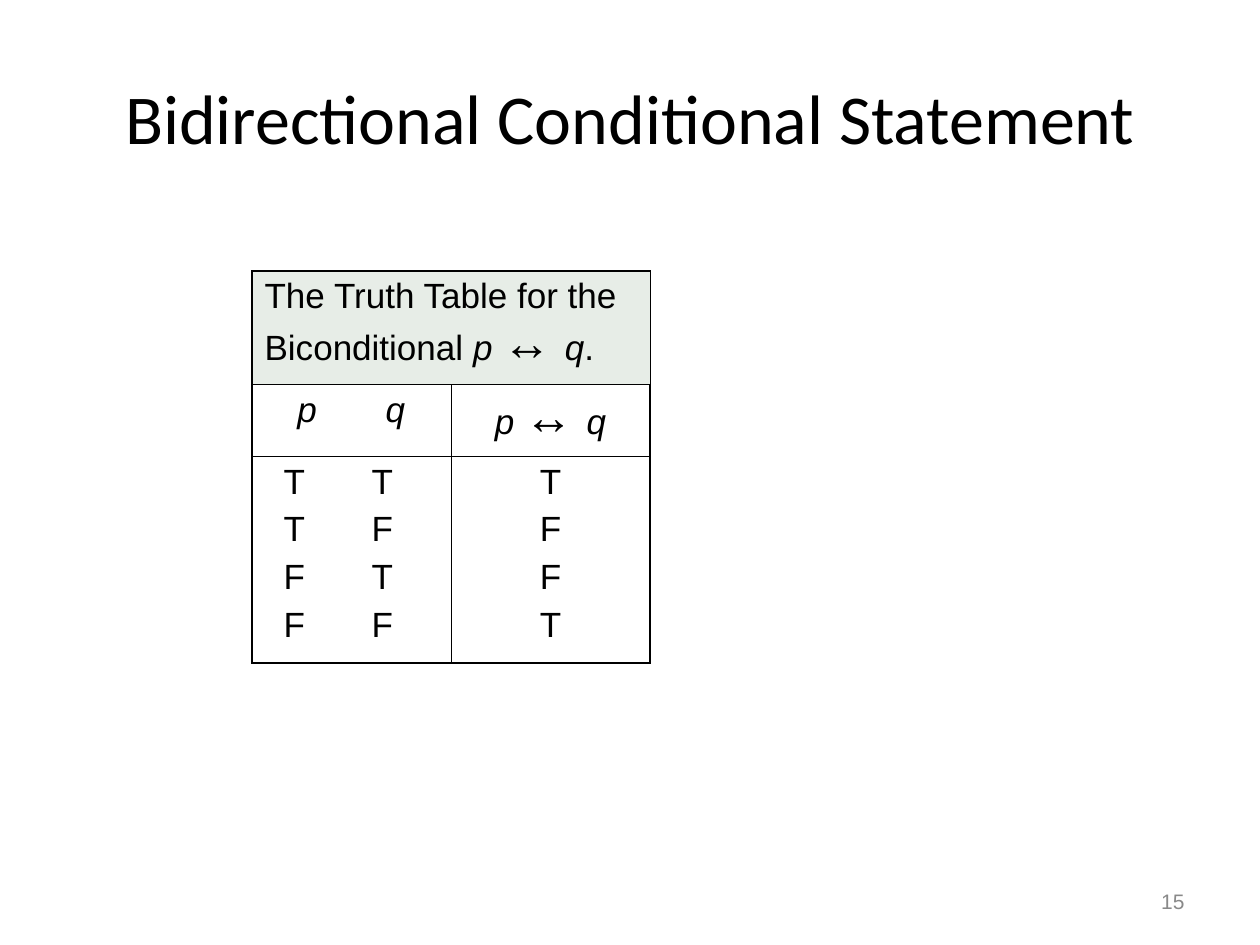
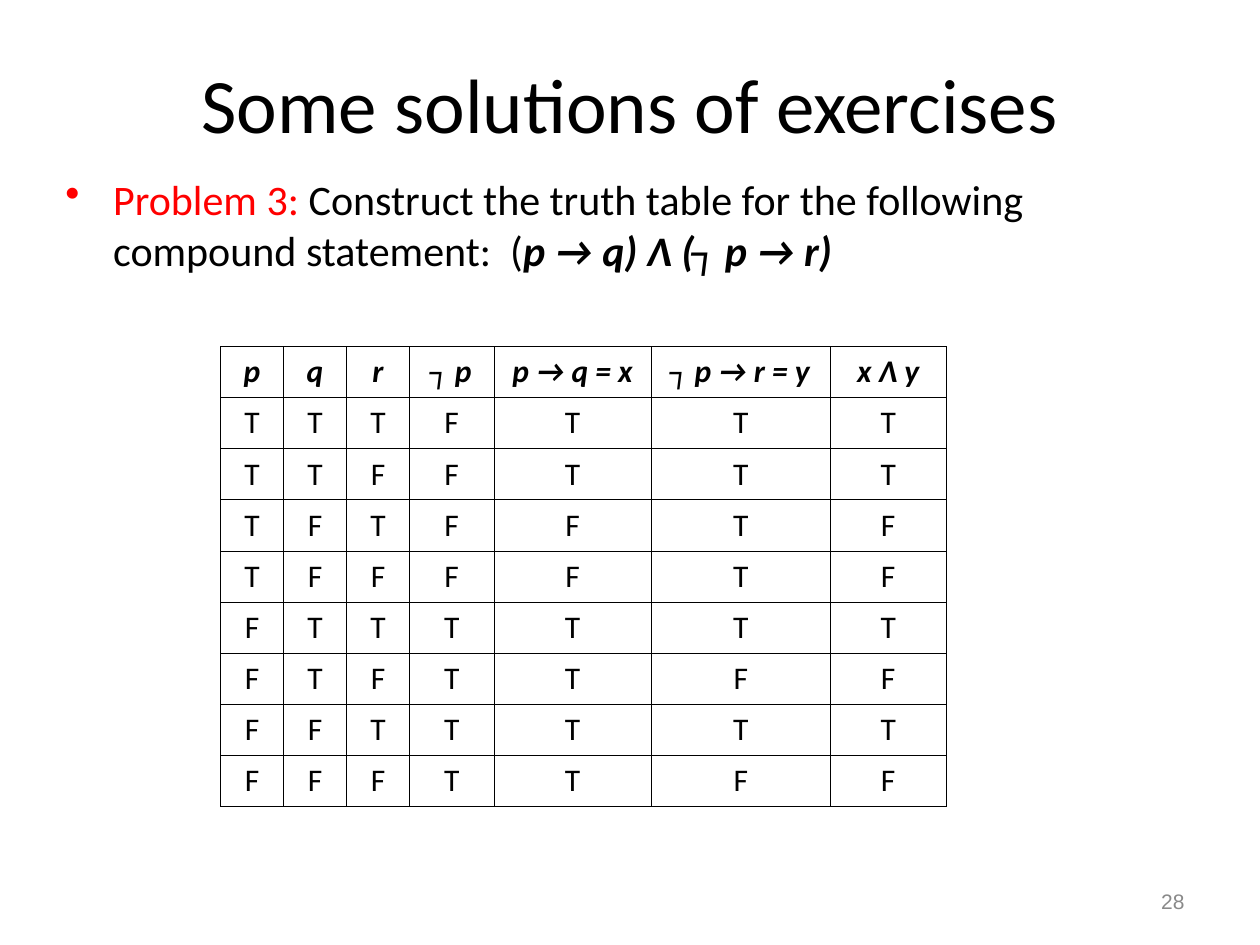
from dataclasses import dataclass
from itertools import product

from lxml.etree import SubElement
from pptx import Presentation
from pptx.dml.color import RGBColor as Color
from pptx.enum.text import MSO_ANCHOR as Anchor, PP_ALIGN as Align
from pptx.oxml import parse_xml
from pptx.oxml.ns import nsdecls, qn
from pptx.util import Inches, Pt


@dataclass(frozen=True)
class Theme:
    heading_font: str = "Calibri"
    plain_font: str = "Arial"
    ink: str = "000000"
    accent: str = "FF0000"
    muted: str = "898989"
    paper: str = "FFFFFF"
    tint: str = "E7EDE7"
    title_size: int = 44
    long_title_size: int = 40
    body_size: int = 24
    cell_size: int = 20
    symbol_size: int = 28
    grid_size: int = 18
    number_size: int = 12
    thin: float = 0.45
    thick: float = 1.08


@dataclass(frozen=True)
class Span:
    text: str
    size: int = None
    color: str = None
    bold: bool = None
    italic: bool = None


THEME = Theme()
BICONDITIONAL = [
    Span("p ", italic=True),
    Span("↔ ", size=THEME.symbol_size),
    Span("q", italic=True),
]


def style_font(font, name=None, size=None, color=None, bold=None, italic=None):
    if name:
        font.name = name
    if size:
        font.size = Pt(size)
    if color:
        font.color.rgb = Color.from_string(color)
    font.bold = bold
    font.italic = italic


def write_spans(para, spans, font, size, align=Align.LEFT):
    para.alignment = align
    for span in spans:
        run = para.add_run()
        run.text = span.text
        style_font(run.font, font, span.size or size, span.color or THEME.ink,
                   span.bold, span.italic)


def write_line(para, text, font, size, align=Align.LEFT, color=THEME.ink,
               bold=None, italic=None):
    para.text = text
    para.alignment = align
    style_font(para.font, font, size, color, bold, italic)


def add_bullet(para, indent, color):
    props = para._p.get_or_add_pPr()
    props.set("marL", str(Inches(indent)))
    props.set("indent", str(-Inches(indent)))
    bullet_color = SubElement(props, qn("a:buClr"))
    SubElement(bullet_color, qn("a:srgbClr"), val=color)
    SubElement(props, qn("a:buChar"), char="•")


def add_tab(para, position):
    tabs = SubElement(para._p.get_or_add_pPr(), qn("a:tabLst"))
    SubElement(tabs, qn("a:tab"), pos=str(Inches(position)), algn="l")


def add_page(deck, title, number, title_height, title_size):
    page = deck.slides.add_slide(deck.slide_layouts[5])
    heading = page.shapes.title
    heading.left, heading.top = Inches(0.5), Inches(0.3)
    heading.width, heading.height = Inches(9), Inches(title_height)
    heading.text_frame.vertical_anchor = Anchor.MIDDLE
    write_line(heading.text_frame.paragraphs[0], title, THEME.heading_font,
               title_size, Align.CENTER)
    frame = add_box(page, 7.17, 6.95, 2.33, 0.4, Anchor.MIDDLE)
    write_line(frame.paragraphs[0], str(number), THEME.plain_font,
               THEME.number_size, Align.RIGHT, THEME.muted)
    return page


def add_box(page, left, top, width, height, anchor=Anchor.TOP):
    box = page.shapes.add_textbox(Inches(left), Inches(top),
                                  Inches(width), Inches(height))
    frame = box.text_frame
    frame.word_wrap = True
    frame.vertical_anchor = anchor
    return frame


def add_grid(page, left, top, widths, heights, outer, inner, fill=None):
    table = page.shapes.add_table(
        len(heights), len(widths), Inches(left), Inches(top),
        Inches(sum(widths)), Inches(sum(heights))).table
    table.first_row = table.horz_banding = False
    for column, width in zip(table.columns, widths):
        column.width = Inches(width)
    for row, height in zip(table.rows, heights):
        row.height = Inches(height)
    last_row, last_column = len(heights) - 1, len(widths) - 1
    for row, column in product(range(len(heights)), range(len(widths))):
        cell = table.cell(row, column)
        fill_cell(cell, fill)
        at_edge = {"lnL": column == 0, "lnR": column == last_column,
                   "lnT": row == 0, "lnB": row == last_row}
        set_borders(cell, {side: outer if edge else inner
                           for side, edge in at_edge.items()})
    return table


def fill_cell(cell, color):
    if color:
        cell.fill.solid()
        cell.fill.fore_color.rgb = Color.from_string(color)
    else:
        cell.fill.background()


def set_borders(cell, sides):
    props = cell._tc.get_or_add_tcPr()
    for order, (side, width) in enumerate(sides.items()):
        props.insert(order, parse_xml(
            f'<a:{side} {nsdecls("a")} w="{Pt(width)}"><a:solidFill>'
            f'<a:srgbClr val="{THEME.ink}"/></a:solidFill></a:{side}>'))


def write_cell_lines(cell, lines, align=Align.LEFT, margin=0.1, tab=None,
                     italic=None):
    cell.margin_left = Inches(margin)
    frame = cell.text_frame
    for order, line in enumerate(lines):
        para = frame.add_paragraph() if order else frame.paragraphs[0]
        if order:
            para.space_before = Pt(5)
        if tab:
            add_tab(para, tab)
        write_line(para, line, THEME.plain_font, THEME.cell_size, align,
                   italic=italic)


def letter(value):
    return "T" if value else "F"


def add_biconditional_table(page):
    table = add_grid(page, 2, 2.15, [1.58, 1.58], [0.9, 0.57, 1.64],
                     THEME.thick, THEME.thin)
    caption = table.cell(0, 0)
    caption.merge(table.cell(0, 1))
    fill_cell(caption, THEME.tint)
    write_spans(caption.text_frame.paragraphs[0],
                [Span("The Truth Table for the Biconditional "),
                 *BICONDITIONAL, Span(".")],
                THEME.plain_font, THEME.cell_size)
    write_cell_lines(table.cell(1, 0), ["p\tq"], margin=0.36, tab=0.7,
                     italic=True)
    write_spans(table.cell(1, 1).text_frame.paragraphs[0], BICONDITIONAL,
                THEME.plain_font, THEME.cell_size, Align.CENTER)
    cases = list(product((True, False), repeat=2))
    write_cell_lines(table.cell(2, 0),
                     [f"{letter(p)}\t{letter(q)}" for p, q in cases],
                     margin=0.25, tab=0.7)
    write_cell_lines(table.cell(2, 1), [letter(p == q) for p, q in cases],
                     Align.CENTER)


def add_compound_table(page):
    rows = [["p", "q", "r", "┐ p", "p → q = x", "┐ p → r = y", "x Ʌ y"]]
    for p, q, r in product((True, False), repeat=3):
        x, y = not p or q, p or r
        rows.append([letter(value) for value in (p, q, r, not p, x, y, x and y)])
    table = add_grid(page, 1.75, 2.75, [0.5, 0.5, 0.5, 0.67, 1.25, 1.42, 0.92],
                     [3.65 / len(rows)] * len(rows), THEME.thin, THEME.thin,
                     THEME.paper)
    for row, values in enumerate(rows):
        is_header = row == 0
        for column, value in enumerate(values):
            write_line(table.cell(row, column).text_frame.paragraphs[0], value,
                       THEME.heading_font, THEME.grid_size, Align.CENTER,
                       bold=is_header, italic=is_header)


def add_problem(page):
    para = add_box(page, 0.42, 1.33, 9.33, 1.25).paragraphs[0]
    add_bullet(para, 0.38, THEME.accent)
    write_spans(para, [
        Span("Problem 3: ", color=THEME.accent),
        Span("Construct the truth table for the following compound statement:  ("),
        Span("p → q) Ʌ (┐ p → r)", bold=True, italic=True),
    ], THEME.heading_font, THEME.body_size)


def main():
    deck = Presentation()
    deck.slide_width, deck.slide_height = Inches(10), Inches(7.5)
    page = add_page(deck, "Bidirectional Conditional Statement", 15, 1.25,
                    THEME.long_title_size)
    add_biconditional_table(page)
    page = add_page(deck, "Some solutions of exercises", 28, 1.03,
                    THEME.title_size)
    add_problem(page)
    add_compound_table(page)
    deck.save("out.pptx")


if __name__ == "__main__":
    main()
